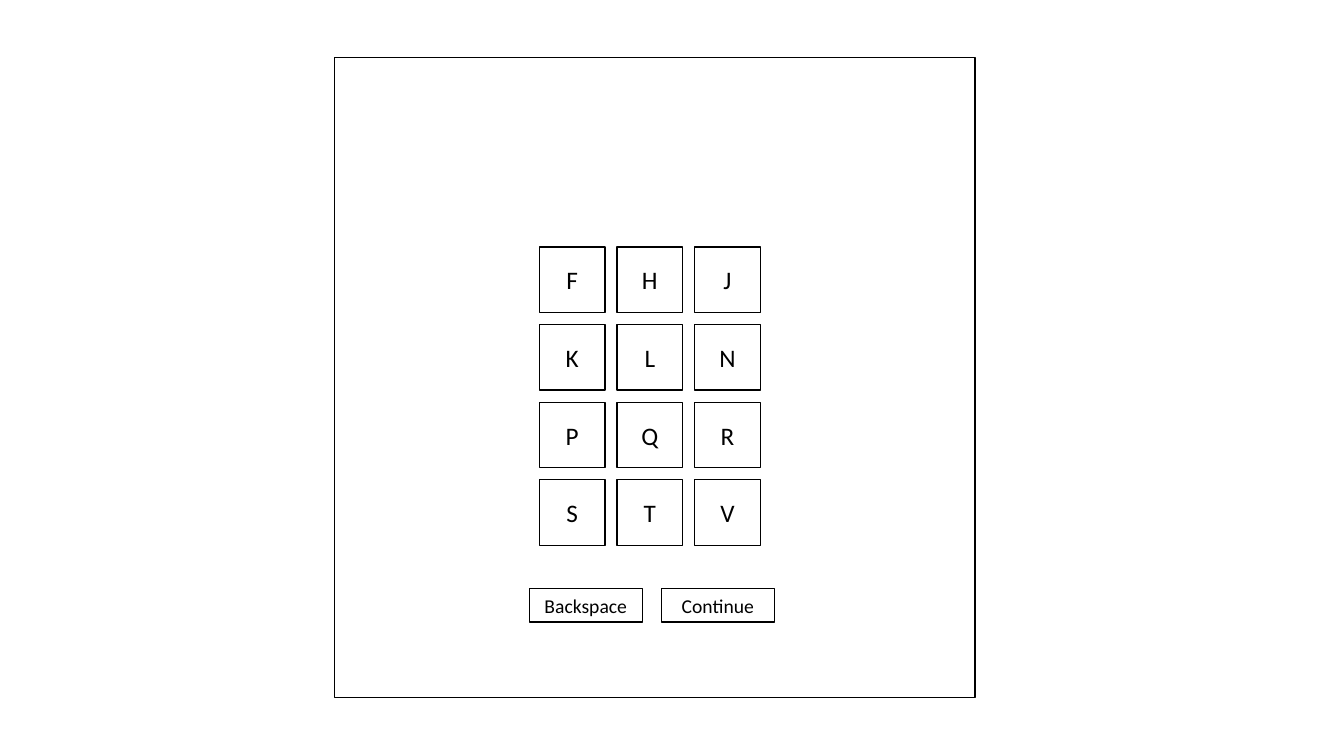
from pptx import Presentation
from pptx import util as u
from pptx.dml.color import RGBColor
from pptx.enum import shapes, text

BLACK = RGBColor(0, 0, 0)
WHITE = RGBColor(255, 255, 255)
COLUMNS, ROWS = 1333, 750
KEY_ROWS = ("FHJ", "KLN", "PQR", "STV")
KEY_LEFT, KEY_TOP, KEY_SIZE, KEY_PITCH = 535, 245, 65, 77
ACTIONS = ("Backspace", "Continue")
ACTION_LEFT, ACTION_TOP, ACTION_PITCH = 525, 584, 131


class KeypadSlide:
    font = "Calibri"
    outline = u.Pt(1)

    def __init__(self, deck):
        self.column = deck.slide_width / COLUMNS
        self.row = deck.slide_height / ROWS
        self.slide = deck.slides.add_slide(deck.slide_layouts[6])

    def box(self, column, row, columns, rows, fill=None):
        box = self.slide.shapes.add_shape(
            shapes.MSO_SHAPE.RECTANGLE,
            round(column * self.column), round(row * self.row),
            round(columns * self.column), round(rows * self.row))
        box.shadow.inherit = False
        if fill is None:
            box.fill.background()
        else:
            box.fill.solid()
            box.fill.fore_color.rgb = fill
        box.line.color.rgb = BLACK
        box.line.width = self.outline
        return box

    def label(self, box, wording, size):
        frame = box.text_frame
        frame.word_wrap = True
        frame.vertical_anchor = text.MSO_ANCHOR.MIDDLE
        paragraph = frame.paragraphs[0]
        paragraph.alignment = text.PP_ALIGN.CENTER
        run = paragraph.add_run()
        run.text = wording
        run.font.name = self.font
        run.font.size = u.Pt(size)
        run.font.color.rgb = BLACK

    def key(self, column, row, letter):
        self.label(self.box(column, row, KEY_SIZE, KEY_SIZE), letter, 18)

    def action(self, column, row, wording):
        self.label(self.box(column, row, 112, 33, WHITE), wording, 14)


deck = Presentation()
deck.slide_width, deck.slide_height = u.Inches(13.33), u.Inches(7.5)
keypad = KeypadSlide(deck)

for row, letters in enumerate(KEY_ROWS):
    for column, letter in enumerate(letters):
        keypad.key(KEY_LEFT + column * KEY_PITCH, KEY_TOP + row * KEY_PITCH, letter)

keypad.box(332, 57, 635, 635)

for position, wording in enumerate(ACTIONS):
    keypad.action(ACTION_LEFT + position * ACTION_PITCH, ACTION_TOP, wording)

deck.save("out.pptx")
